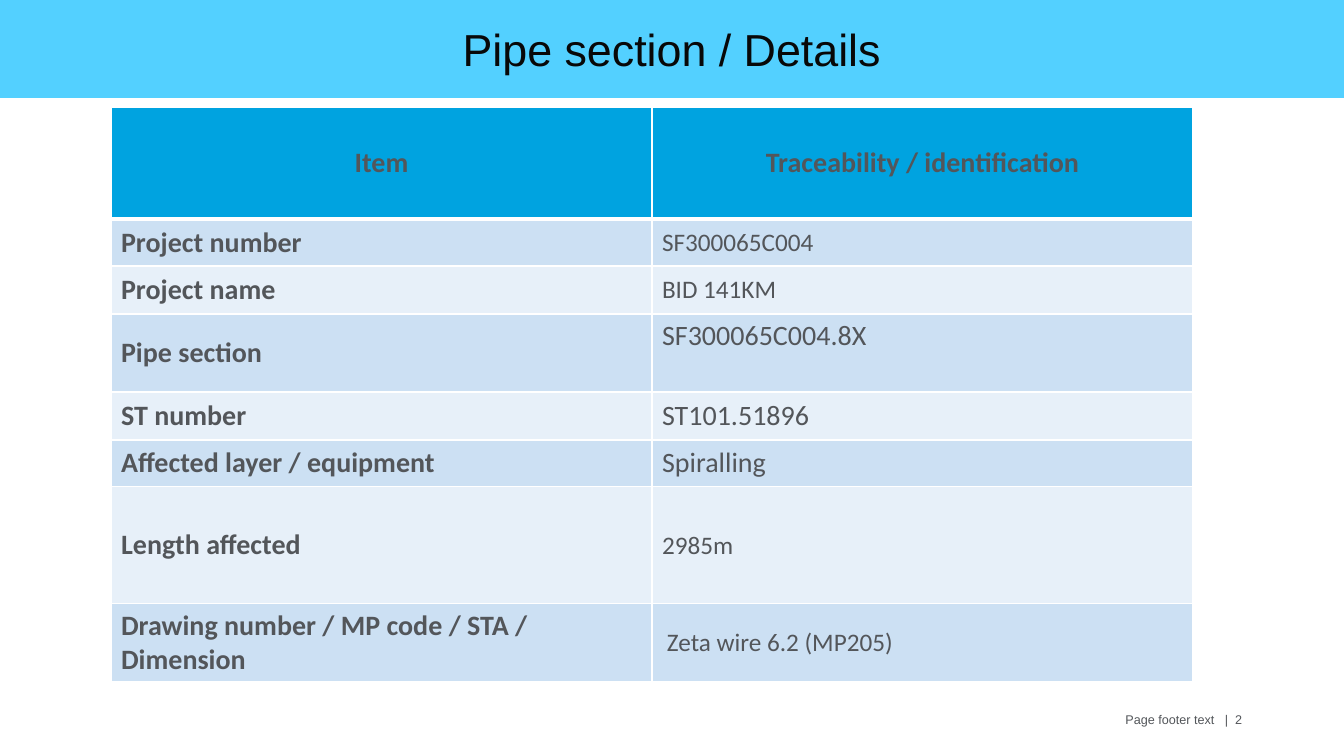
from lxml import etree
from pptx import Presentation
from pptx.dml.color import RGBColor
from pptx.enum.text import MSO_ANCHOR, MSO_AUTO_SIZE, PP_ALIGN
from pptx.oxml.ns import qn
from pptx.util import Emu, Pt

EMU_PER_PX = 914400 / 100.8
TITLE_ONLY = 5
CENTER, LEFT, RIGHT = PP_ALIGN.CENTER, PP_ALIGN.LEFT, PP_ALIGN.RIGHT
MIDDLE, TOP = MSO_ANCHOR.MIDDLE, MSO_ANCHOR.TOP
NO_AUTOFIT = MSO_AUTO_SIZE.NONE

GREY, WHITE, BLACK = "53565A", "FFFFFF", "080808"
SKY, HEADER_BLUE = "53D0FF", "00A3E0"
BANDS = ["CCE0F3", "E7F0F9"]

HEADINGS = ["Item", "Traceability / identification"]
DETAILS = [
    ("Project number", "SF300065C004", 18),
    ("Project name", "BID 141KM", 18),
    ("Pipe section", "SF300065C004.8X", 20),
    ("ST number", "ST101.51896", 20),
    ("Affected layer / equipment", "Spiralling", 20),
    ("Length affected", "2985m", 18),
    ("Drawing number / MP code / STA / Dimension", "Zeta wire 6.2 (MP205)", 18),
]
ROW_HEIGHTS = [112, 47, 48, 78, 48, 47, 117, 78]
COLUMN_WIDTH = 541


def px(n):
    return Emu(round(n * EMU_PER_PX))


def rgb(value):
    return RGBColor.from_string(value)


def format_run(r, font, size, color, bold=False):
    r.font.name = font
    r.font.size = Pt(size)
    r.font.bold = bold
    r.font.color.rgb = rgb(color)


def add_title(slide, text):
    sp = slide.shapes.title
    sp.left, sp.top, sp.width, sp.height = px(0), px(-1), px(1344), px(99)
    sp.fill.solid()
    sp.fill.fore_color.rgb = rgb(SKY)
    tf = sp.text_frame
    tf.text = text
    tf.auto_size = NO_AUTOFIT
    tf.vertical_anchor = MIDDLE
    p = tf.paragraphs[0]
    p.alignment = CENTER
    format_run(p.runs[0], "Arial", 32, BLACK)


def set_borders(cell, top=1, bottom=1):
    tc_pr = cell._tc.get_or_add_tcPr()
    for side, width in (("L", 1), ("R", 1), ("T", top), ("B", bottom)):
        ln = etree.SubElement(tc_pr, qn(f"a:ln{side}"), w=str(Pt(width)))
        fill = etree.SubElement(ln, qn("a:solidFill"))
        etree.SubElement(fill, qn("a:srgbClr"), val=WHITE)


def fill_cell(cell, text, size, color, bold=False, align=LEFT):
    cell.fill.solid()
    cell.fill.fore_color.rgb = rgb(color)
    cell.vertical_anchor = MIDDLE
    cell.text = text
    p = cell.text_frame.paragraphs[0]
    p.alignment = align
    format_run(p.runs[0], "Calibri", size, GREY, bold)


def add_details_table(slide):
    frame = slide.shapes.add_table(
        len(ROW_HEIGHTS), len(HEADINGS), px(111), px(107),
        px(COLUMN_WIDTH * len(HEADINGS)), px(sum(ROW_HEIGHTS)))
    table = frame.table
    for column in table.columns:
        column.width = px(COLUMN_WIDTH)
    for row, height in zip(table.rows, ROW_HEIGHTS):
        row.height = px(height)

    for col, heading in enumerate(HEADINGS):
        cell = table.cell(0, col)
        set_borders(cell, bottom=3)
        fill_cell(cell, heading, 20, HEADER_BLUE, bold=True, align=CENTER)

    for i, (item, value, size) in enumerate(DETAILS):
        color = BANDS[i % len(BANDS)]
        item_cell, value_cell = table.cell(i + 1, 0), table.cell(i + 1, 1)
        for cell in (item_cell, value_cell):
            set_borders(cell, top=3 if i == 0 else 1)
        fill_cell(item_cell, item, 20, color, bold=True)
        fill_cell(value_cell, value, size, color)
        if item == "Pipe section":
            value_cell.vertical_anchor = TOP
    value_cell.margin_left = px(15)


def add_footer(slide, text, number):
    sp = slide.shapes.add_textbox(px(919), px(707), px(333), px(40))
    tf = sp.text_frame
    tf.word_wrap = True
    p = tf.paragraphs[0]
    p.alignment = RIGHT
    for part, spacing in ((text, 0), (" ", 5), ("|", 0), (" ", 2.5), (number, 0)):
        r = p.add_run()
        r.text = part
        format_run(r, "Arial", 9, GREY)
        if spacing:
            r.font._element.set("spc", str(round(spacing * 100)))


def main():
    prs = Presentation()
    prs.slide_width, prs.slide_height = px(1344), px(756)
    slide = prs.slides.add_slide(prs.slide_layouts[TITLE_ONLY])
    add_footer(slide, "Page footer text", "2")
    add_details_table(slide)
    add_title(slide, "Pipe section / Details")
    prs.save("out.pptx")


if __name__ == "__main__":
    main()
